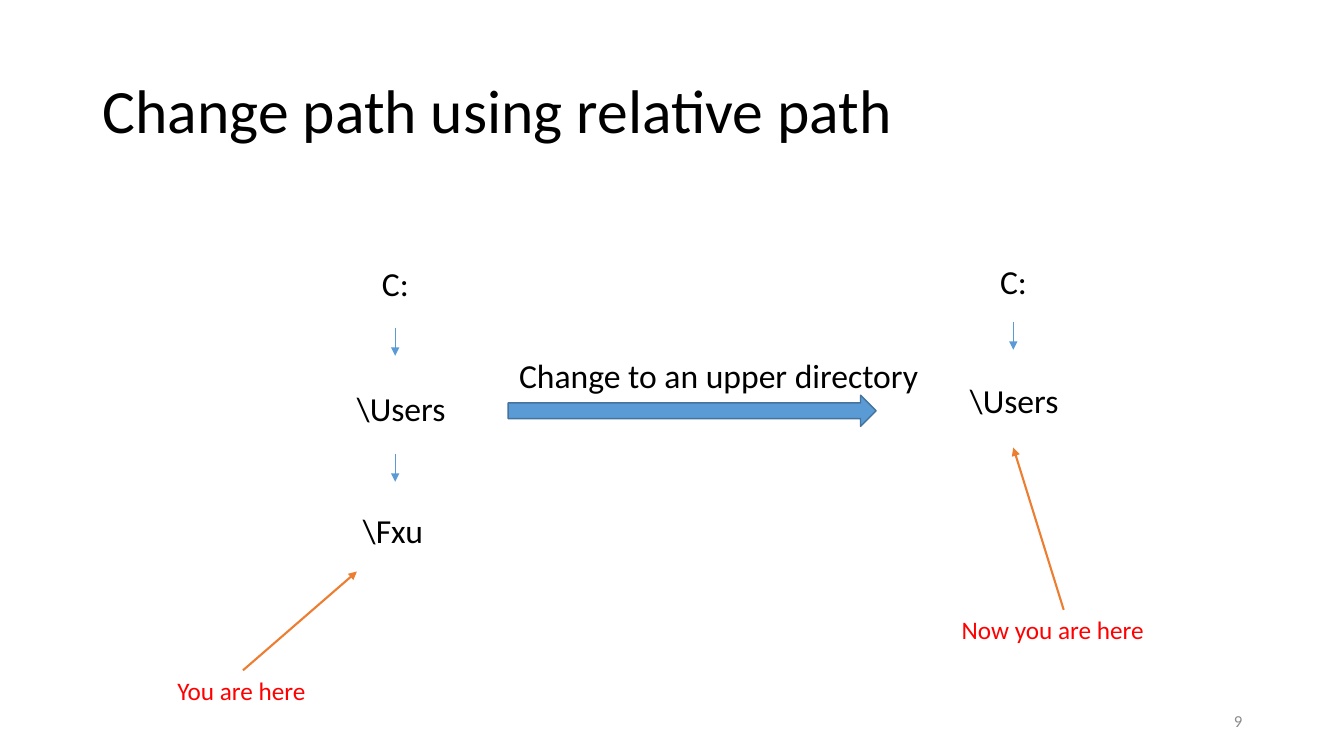
from dataclasses import dataclass

from lxml import etree
from pptx import Presentation
from pptx import util as u
from pptx.dml.color import RGBColor
from pptx.enum import shapes, text
from pptx.oxml import ns

PX = 9144  # EMU per px, 100 px to the inch


@dataclass(frozen=True)
class Theme:
    font: str = "Calibri"
    ink: str = "000000"
    muted: str = "8C8C8C"
    alert: str = "FF0000"
    blue: str = "5B9BD5"
    blue_edge: str = "43739E"
    orange: str = "ED7D31"
    title: int = 44
    body: int = 24
    note: int = 18
    small: int = 12


class SlideBuilder:
    def __init__(self, slide, theme):
        self.shapes = slide.shapes
        self.theme = theme

    def label(self, words, left, top, width, height, size=None, color=None,
              align=text.PP_ALIGN.LEFT, anchor=text.MSO_ANCHOR.TOP,
              wrap=False, spacing=1.0):
        box = self.shapes.add_textbox(left * PX, top * PX, width * PX, height * PX)
        frame = box.text_frame
        frame.word_wrap = wrap
        frame.vertical_anchor = anchor
        paragraph = frame.paragraphs[0]
        paragraph.alignment = align
        paragraph.line_spacing = spacing
        run = paragraph.add_run()
        run.text = words
        run.font.name = self.theme.font
        run.font.size = u.Pt(size or self.theme.body)
        run.font.color.rgb = RGBColor.from_string(color or self.theme.ink)

    def arrow(self, x1, y1, x2, y2, color, weight):
        link = self.shapes.add_connector(
            shapes.MSO_CONNECTOR.STRAIGHT, x1 * PX, y1 * PX, x2 * PX, y2 * PX)
        link.line.color.rgb = RGBColor.from_string(color)
        link.line.width = u.Pt(weight)
        etree.SubElement(link.line._get_or_add_ln(), ns.qn("a:tailEnd"), type="triangle")
        etree.SubElement(link._element.spPr, ns.qn("a:effectLst"))

    def block_arrow(self, left, top, width, height):
        block = self.shapes.add_shape(
            shapes.MSO_SHAPE.RIGHT_ARROW, left * PX, top * PX, width * PX, height * PX)
        block.shadow.inherit = False
        block.fill.solid()
        block.fill.fore_color.rgb = RGBColor.from_string(self.theme.blue)
        block.line.color.rgb = RGBColor.from_string(self.theme.blue_edge)
        block.line.width = u.Pt(1)

    def directory_chain(self, axis, folders, arrow_tops):
        """Folders as (name, left, top, width), joined by short arrows on one axis."""
        for name, left, top, width in folders:
            self.label(name, left, top, width, 50)
        for top in arrow_tops:
            self.arrow(axis, top, axis, top + 28, self.theme.blue, 0.5)


def main():
    deck = Presentation()
    deck.slide_width, deck.slide_height = 1333 * PX, 750 * PX
    theme = Theme()
    page = SlideBuilder(deck.slides.add_slide(deck.slide_layouts[6]), theme)

    # Title and page number
    middle = text.MSO_ANCHOR.MIDDLE
    page.label("Change path using relative path", 92, 40, 1150, 145,
               theme.title, anchor=middle, wrap=True, spacing=0.9)
    page.label("9", 942, 695, 300, 40, theme.small, theme.muted,
               text.PP_ALIGN.RIGHT, middle, wrap=True)

    # Directory chains before and after the change
    page.directory_chain(
        392, [("C:", 369, 256, 47), ("\\Users", 344, 380, 109), ("\\Fxu", 350, 501, 81)],
        [325, 450])
    page.directory_chain(
        1005, [("C:", 982, 254, 47), ("\\Users", 952, 372, 109)], [319])

    # The change itself
    page.block_arrow(504, 392, 365, 31)
    page.label("Change to an upper directory", 505, 347, 420, 50)

    # Location notes
    page.label("You are here", 166, 665, 149, 40, theme.note, theme.alert)
    page.arrow(241, 665, 354, 567, theme.orange, 1.5)
    page.label("Now you are here", 944, 605, 222, 40, theme.note, theme.alert, wrap=True)
    page.arrow(1055, 605, 1005, 444, theme.orange, 1.5)

    deck.save("out.pptx")


if __name__ == "__main__":
    main()
